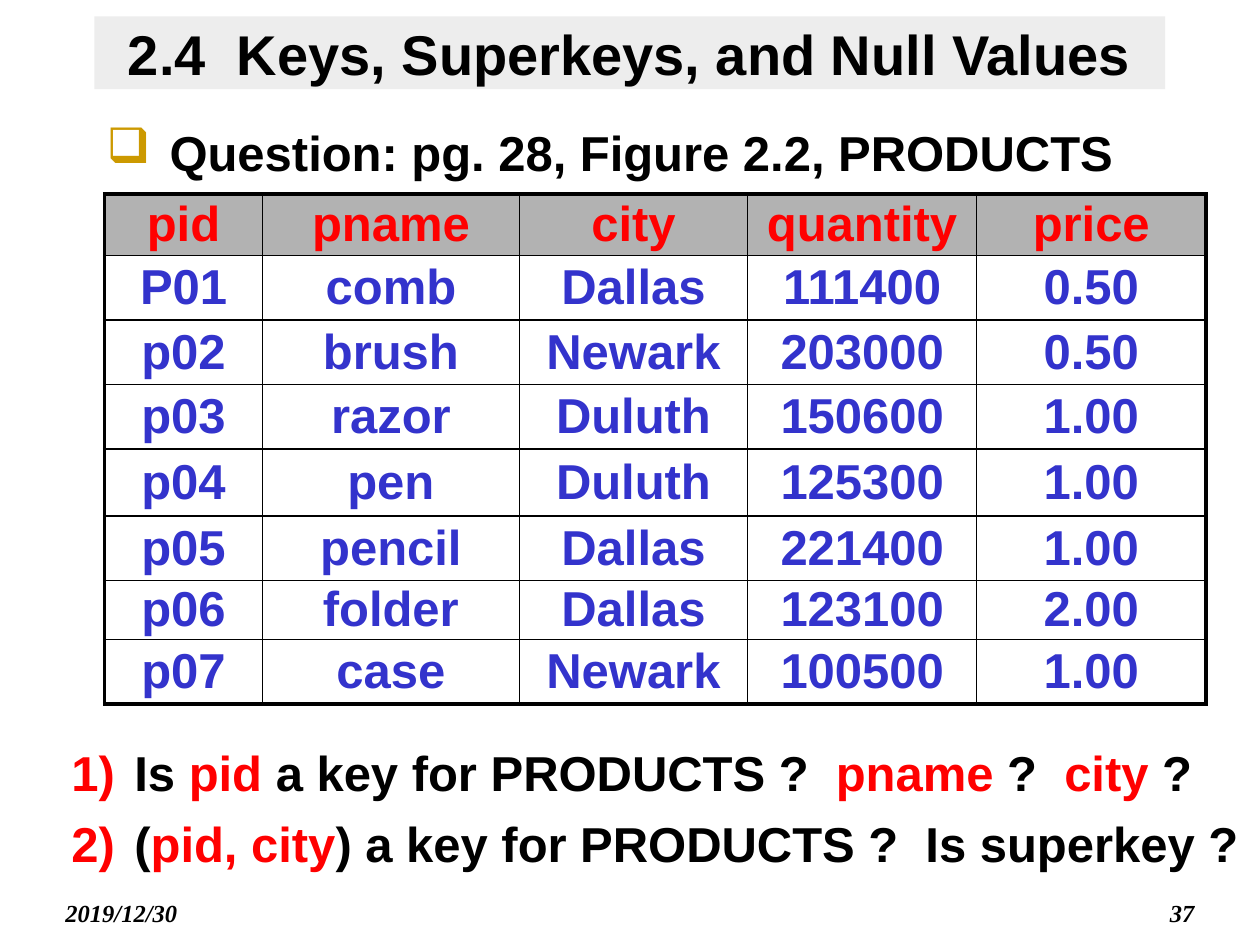
from collections import namedtuple
from dataclasses import dataclass

from lxml import etree
from pptx import Presentation
from pptx import util as u
from pptx.dml import color
from pptx.enum import text
from pptx.oxml import ns

Box = namedtuple("Box", "left top width height")


@dataclass(frozen=True)
class Theme:
    sans: str = "Arial"
    serif: str = "Times New Roman"
    ink: str = "000000"
    accent: str = "FF0000"
    value: str = "3333CC"
    bullet: str = "CC9900"
    band: str = "DDDDDD"
    header: str = "B2B2B2"
    title_size: int = 32
    body_size: int = 28
    footer_size: int = 14
    thin: float = 1
    thick: float = 2.25


THEME = Theme()
HEADERS = ["pid", "pname", "city", "quantity", "price"]
PRODUCTS = [
    ["P01", "comb", "Dallas", "111400", "0.50"],
    ["p02", "brush", "Newark", "203000", "0.50"],
    ["p03", "razor", "Duluth", "150600", "1.00"],
    ["p04", "pen", "Duluth", "125300", "1.00"],
    ["p05", "pencil", "Dallas", "221400", "1.00"],
    ["p06", "folder", "Dallas", "123100", "2.00"],
    ["p07", "case", "Newark", "100500", "1.00"],
]
COLUMN_WIDTHS = [3.18, 5.18, 4.6, 4.62, 4.62]
ROW_HEIGHTS = [1.24, 1.3, 1.3, 1.3, 1.35, 1.3, 1.19, 1.3]
QUESTIONS = [
    [("Is ", THEME.ink), ("pid ", THEME.accent),
     ("a key for PRODUCTS ?  ", THEME.ink), ("pname ", THEME.accent),
     ("?  ", THEME.ink), ("city ", THEME.accent), ("?", THEME.ink)],
    [("(", THEME.ink), ("pid, city", THEME.accent),
     (") a key for PRODUCTS ?  Is superkey ?", THEME.ink)],
]


def assign(target, values):
    for name, value in values.items():
        setattr(target, name, value)


def rgb(code):
    return color.RGBColor.from_string(code)


def place(shape, box):
    assign(shape, {name: u.Cm(value) for name, value in box._asdict().items()})


def add_child(parent, tag, **attributes):
    return etree.SubElement(parent, ns.qn(tag), attributes)


def write_span(para, words, code, size, **formats):
    span = para.add_run()
    span.text = words
    assign(span.font, {"name": THEME.sans, "bold": True, "size": u.Pt(size)} | formats)
    span.font.color.rgb = rgb(code)


def add_text_box(page, box, **formats):
    shape = page.shapes.add_textbox(*map(u.Cm, box))
    assign(shape.text_frame, {"word_wrap": True} | formats)
    return shape.text_frame


def add_marker(para, code, tag, **attributes):
    properties = para._p.get_or_add_pPr()
    indent = u.Cm(1.27)
    properties.set("marL", str(indent))
    properties.set("indent", str(-indent))
    add_child(add_child(properties, "a:buClr"), "a:srgbClr", val=code)
    add_child(properties, tag, **attributes)


def add_title(page, box):
    title = page.shapes.title
    place(title, box)
    title.fill.solid()
    title.fill.fore_color.rgb = rgb(THEME.band)
    swatch = title._element.spPr.find(".//" + ns.qn("a:srgbClr"))
    add_child(swatch, "a:alpha", val="50000")
    assign(title.text_frame, {
        "word_wrap": True,
        "auto_size": text.MSO_AUTO_SIZE.NONE,
        "vertical_anchor": text.MSO_ANCHOR.MIDDLE,
    })
    para = title.text_frame.paragraphs[0]
    para.alignment = text.PP_ALIGN.CENTER
    write_span(para, "2.4  Keys, Superkeys, and Null Values", THEME.ink, THEME.title_size)


def add_heading(page, box):
    para = add_text_box(page, box, margin_top=u.Cm(0.23)).paragraphs[0]
    add_marker(para, THEME.bullet, "a:buChar", char="❑")
    write_span(para, "Question: pg. 28, Figure 2.2, PRODUCTS", THEME.ink, THEME.body_size)


def set_borders(cell, outer_sides):
    properties = cell._tc.get_or_add_tcPr()
    for position, side in enumerate("LRTB"):
        width = THEME.thick if side in outer_sides else THEME.thin
        line = etree.Element(ns.qn("a:ln" + side), {"w": str(u.Pt(width))})
        add_child(add_child(line, "a:solidFill"), "a:srgbClr", val=THEME.ink)
        properties.insert(position, line)


def fill_cell(cell, words, is_header):
    if is_header:
        cell.fill.solid()
        cell.fill.fore_color.rgb = rgb(THEME.header)
    else:
        cell.fill.background()
    assign(cell, {
        "vertical_anchor": text.MSO_ANCHOR.MIDDLE,
        "margin_left": u.Cm(0.25), "margin_right": u.Cm(0.25),
        "margin_top": 0, "margin_bottom": 0,
    })
    para = cell.text_frame.paragraphs[0]
    para.alignment = text.PP_ALIGN.CENTER
    write_span(para, words, THEME.accent if is_header else THEME.value, THEME.body_size)


def add_products(page, box):
    records = [HEADERS] + PRODUCTS
    last_row, last_column = len(records) - 1, len(HEADERS) - 1
    table = page.shapes.add_table(len(records), len(HEADERS), *map(u.Cm, box)).table
    table.horz_banding = False
    for column, width in zip(table.columns, COLUMN_WIDTHS):
        column.width = u.Cm(width)
    for row, height in zip(table.rows, ROW_HEIGHTS):
        row.height = u.Cm(height)
    for i, record in enumerate(records):
        for j, words in enumerate(record):
            cell = table.cell(i, j)
            fill_cell(cell, words, i == 0)
            edges = {"L": j == 0, "R": j == last_column, "T": i == 0, "B": i == last_row}
            set_borders(cell, [side for side, is_outer in edges.items() if is_outer])


def add_questions(page, box):
    frame = add_text_box(page, box, margin_top=u.Cm(0.23), margin_right=0)
    for number, question in enumerate(QUESTIONS):
        para = frame.add_paragraph() if number else frame.paragraphs[0]
        add_marker(para, THEME.accent, "a:buAutoNum", type="arabicParenR")
        if number:
            para.space_before = u.Pt(7)
        for words, code in question:
            write_span(para, words, code, THEME.body_size)


def add_footer(page, box):
    width = 5.28
    entries = [
        ("2019/12/30", box.left, text.PP_ALIGN.LEFT),
        ("37", box.left + box.width - width, text.PP_ALIGN.RIGHT),
    ]
    for words, left, alignment in entries:
        para = add_text_box(page, Box(left, box.top, width, box.height)).paragraphs[0]
        para.alignment = alignment
        write_span(para, words, THEME.ink, THEME.footer_size, name=THEME.serif, italic=True)


def main():
    deck = Presentation()
    assign(deck, {"slide_width": u.Cm(25.4), "slide_height": u.Cm(19.05)})
    page = deck.slides.add_slide(deck.slide_layouts.get_by_name("Title Only"))
    add_footer(page, Box(1.07, 17.98, 23.26, 0.84))
    add_title(page, Box(1.9, 0.33, 21.59, 1.47))
    add_heading(page, Box(1.9, 2.24, 22.22, 1.47))
    add_products(page, Box(2.11, 3.91, sum(COLUMN_WIDTHS), sum(ROW_HEIGHTS)))
    add_questions(page, Box(1.19, 14.73, 24.1, 3.18))
    deck.save("out.pptx")


if __name__ == "__main__":
    main()
